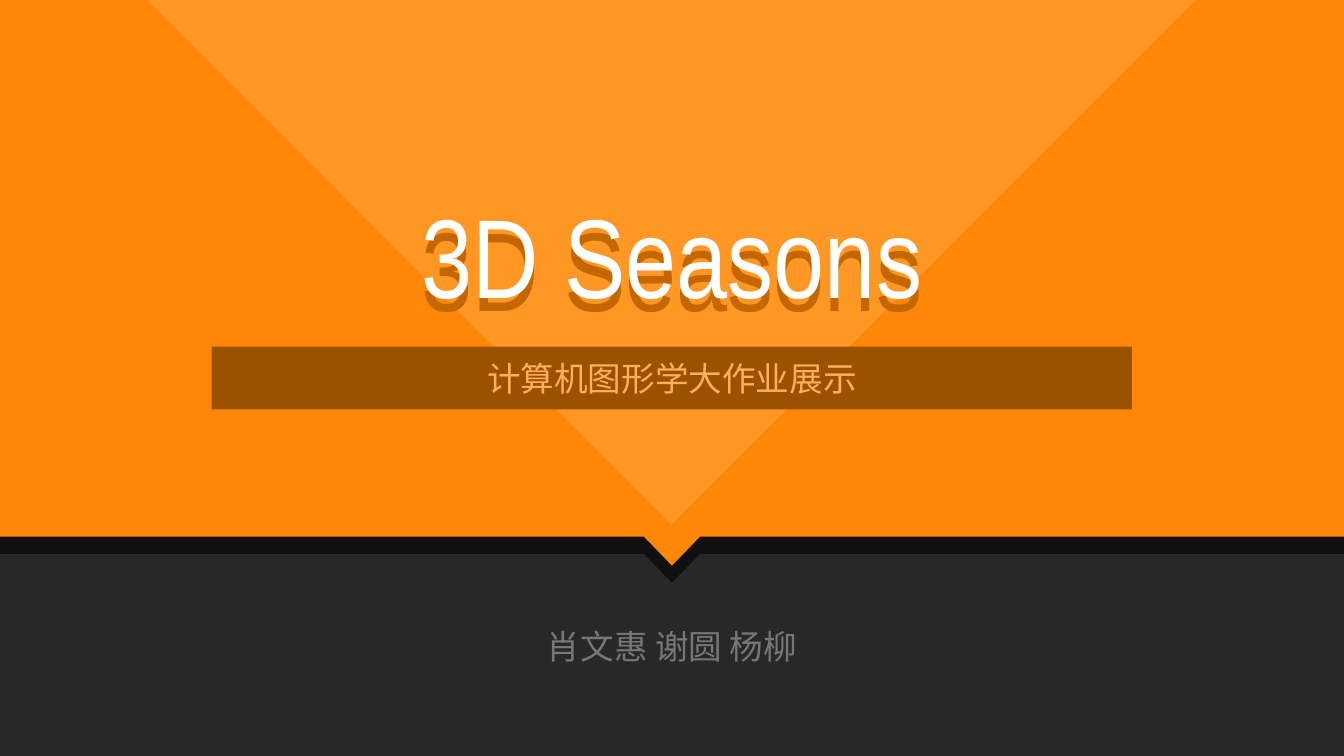
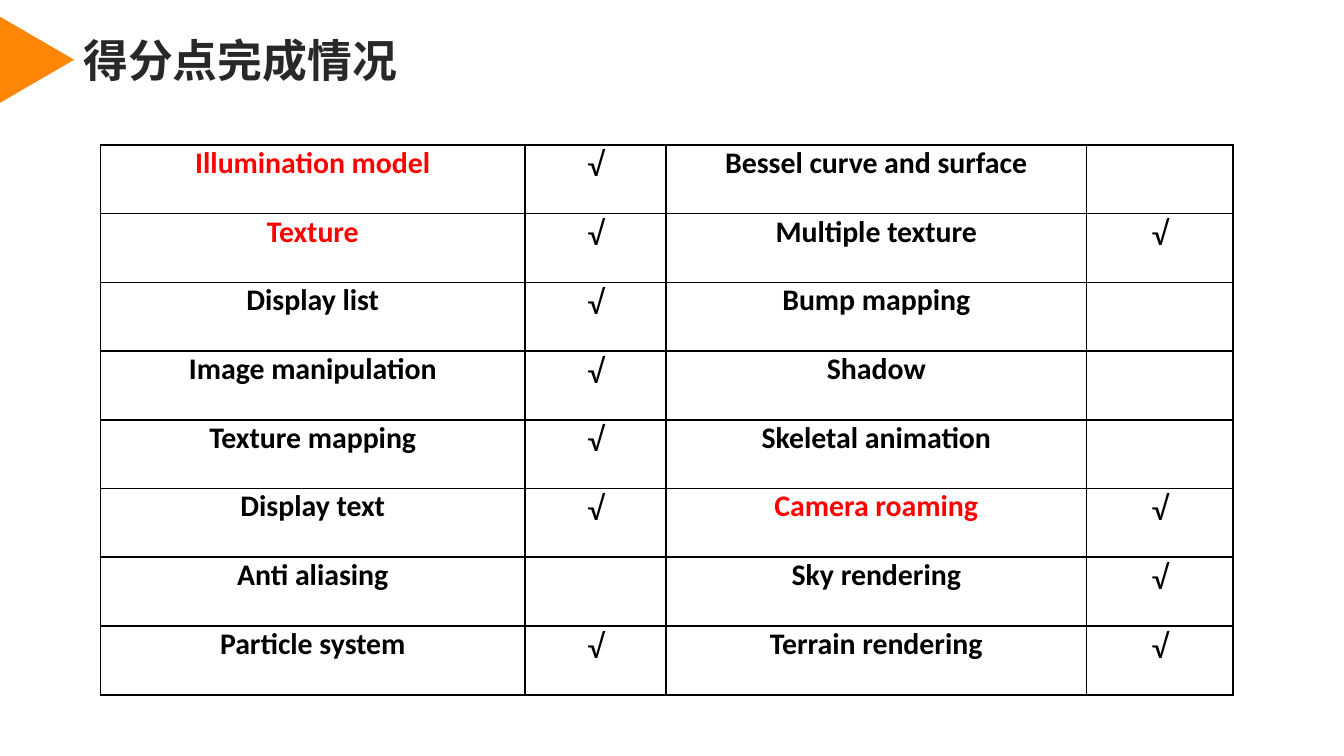
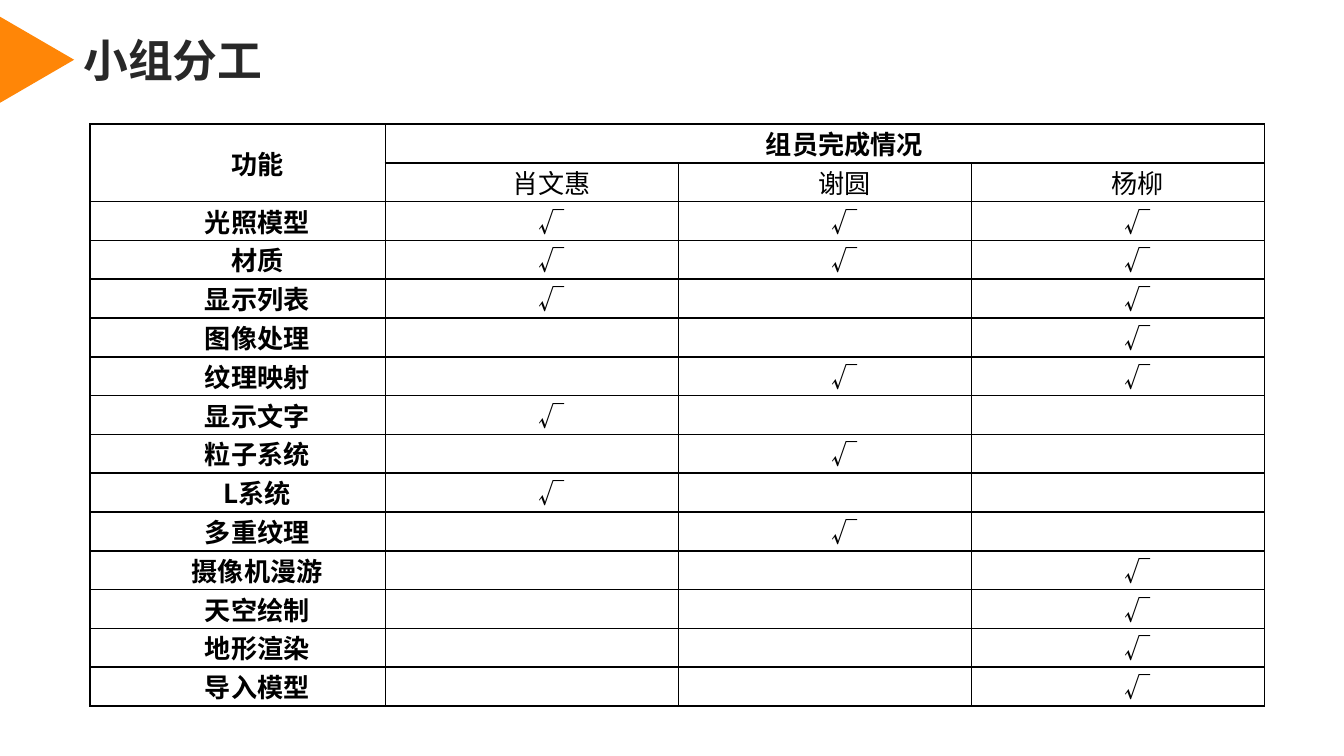
from lxml.etree import SubElement
from pptx import Presentation
from pptx.dml.color import RGBColor
from pptx.enum.shapes import MSO_SHAPE
from pptx.enum.text import MSO_ANCHOR, MSO_AUTO_SIZE, PP_ALIGN
from pptx.oxml.ns import qn
from pptx.util import Pt

ORANGE = RGBColor(0xFF, 0x86, 0x07)
LIGHT_ORANGE = RGBColor(0xFF, 0x97, 0x25)
DEEP_ORANGE = RGBColor(0xC4, 0x67, 0x00)
BROWN = RGBColor(0x9A, 0x51, 0x00)
PEACH = RGBColor(0xFF, 0xAF, 0x57)
DARK = RGBColor(0x28, 0x28, 0x28)
GRAY = RGBColor(0x77, 0x77, 0x77)
WHITE = RGBColor(0xFF, 0xFF, 0xFF)
BLACK = RGBColor(0, 0, 0)
RED = RGBColor(0xFF, 0, 0)

CJK = "Noto Sans CJK SC"
COVER = {"name": "Arial Narrow", "size": Pt(60), "bold": False}
CAPTION = {"name": CJK, "size": Pt(18), "bold": False}
HEADING = {"name": "Arial Narrow", "size": Pt(24), "bold": True}
ITEM = {"name": "Calibri", "size": Pt(16), "bold": True}
TICK = {"name": "Calibri", "size": Pt(18), "bold": False}
WORK = {"name": CJK, "size": Pt(14), "bold": True}
DONE = {"name": CJK, "size": Pt(14), "bold": False}
BOX = {"word_wrap": True, "auto_size": MSO_AUTO_SIZE.NONE, "vertical_anchor": MSO_ANCHOR.TOP,
       "margin_left": Pt(7.2), "margin_right": Pt(7.2),
       "margin_top": Pt(3.6), "margin_bottom": Pt(3.6)}


def write(tf, text, fmt, color, align=PP_ALIGN.CENTER, ea=CJK):
    p = tf.paragraphs[0]
    p.alignment = align
    p.space_before = Pt(0)
    if not text:
        SubElement(p._p, qn("a:endParaRPr"), sz=str(int(fmt["size"].pt * 100)))
        return p
    r = p.add_run()
    r.text = text
    for key, value in fmt.items():
        setattr(r.font, key, value)
    r.font.color.rgb = color
    SubElement(r._r.get_or_add_rPr(), qn("a:ea"), typeface=ea)
    return p


def paint(sp, color):
    sp.shadow.inherit = False
    sp.fill.solid()
    sp.fill.fore_color.rgb = color
    sp.line.fill.background()


prs = Presentation()
prs.slide_width, prs.slide_height = Pt(720), Pt(405)

s = prs.slides.add_slide(prs.slide_layouts[0])
paint(s.shapes.add_shape(MSO_SHAPE.RECTANGLE, 0, 0, Pt(720), Pt(405)), DARK)

banner = [(0, 0), (720, 0), (720, 287.5), (375, 287.5), (360, 303), (345, 287.5), (0, 287.5)]
wedge = [(79, 0), (640.5, 0), (359.75, 281)]
for outline, drop, color in [(banner, 9.2, BLACK), (banner, 0, ORANGE), (wedge, 0, LIGHT_ORANGE)]:
    points = [(Pt(x), Pt(y + drop)) for x, y in outline]
    fb = s.shapes.build_freeform(*points[0])
    fb.add_line_segments(points[1:], close=True)
    sp = fb.convert_to_shape()
    paint(sp, color)
    if drop:
        SubElement(sp._element.spPr.find(".//" + qn("a:srgbClr")), qn("a:alpha"), val="60000")

paint(s.shapes.add_shape(MSO_SHAPE.RECTANGLE, Pt(113.4), Pt(185.7), Pt(493), Pt(33.7)), BROWN)

title, subtitle = s.placeholders
for sp, text, fmt, color, at in [
    (s.shapes.add_textbox(0, 0, 0, 0), "3D Seasons", COVER, DEEP_ORANGE, (0, 103.6, 720, 80)),
    (title, "3D Seasons", COVER, WHITE, (0, 96.5, 720, 80)),
    (subtitle, "计算机图形学大作业展示", CAPTION, PEACH, (113.4, 188, 493, 29)),
    (s.shapes.add_textbox(0, 0, 0, 0), "肖文惠 谢圆 杨柳", CAPTION, GRAY, (0, 332, 720, 29)),
]:
    sp.left, sp.top, sp.width, sp.height = map(Pt, at)
    for key, value in BOX.items():
        setattr(sp.text_frame, key, value)
    write(sp.text_frame, text, fmt, color)
    s.shapes._spTree.append(sp._element)

scores = [
    ("Illumination model", "√", "Bessel curve and surface", ""),
    ("Texture", "√", "Multiple texture", "√"),
    ("Display list", "√", "Bump mapping", ""),
    ("Image manipulation", "√", "Shadow", ""),
    ("Texture mapping", "√", "Skeletal animation", ""),
    ("Display text", "√", "Camera roaming", "√"),
    ("Anti aliasing", "", "Sky rendering", "√"),
    ("Particle system", "√", "Terrain rendering", "√"),
]
required = {"Illumination model", "Texture", "Camera roaming"}

duties = [
    ("功能", "组员完成情况", "", ""),
    ("", "肖文惠", "谢圆", "杨柳"),
    ("光照模型", "√", "√", "√"),
    ("材质", "√", "√", "√"),
    ("显示列表", "√", "", "√"),
    ("图像处理", "", "", "√"),
    ("纹理映射", "", "√", "√"),
    ("显示文字", "√", "", ""),
    ("粒子系统", "", "√", ""),
    ("L系统", "√", "", ""),
    ("多重纹理", "", "√", ""),
    ("摄像机漫游", "", "", "√"),
    ("天空绘制", "", "", "√"),
    ("地形渲染", "", "", "√"),
    ("导入模型", "", "", "√"),
]

for heading, width, rows, left, top, cols, row_height, bold, plain, indent in [
    ("得分点完成情况", 184, scores, 53.8, 77.6, (227.6, 75.5, 225.2, 78.6), 36.85, ITEM, TICK, 0),
    ("小组分工", 112, duties, 48.2, 66.5, (158.3, 157, 157, 157), 20.8, WORK, DONE, 21),
]:
    s = prs.slides.add_slide(prs.slide_layouts[5])
    sp = s.shapes.title
    sp.left, sp.top, sp.width, sp.height = Pt(37.4), Pt(13.7), Pt(width), Pt(36)
    for key, value in BOX.items():
        setattr(sp.text_frame, key, value)
    sp.text_frame.word_wrap = False
    write(sp.text_frame, heading, HEADING, DARK, PP_ALIGN.LEFT)

    sp = s.shapes.add_shape(MSO_SHAPE.ISOSCELES_TRIANGLE, Pt(-3.1), Pt(12.2), Pt(46), Pt(39.6))
    sp.rotation = 90
    paint(sp, ORANGE)

    table = s.shapes.add_table(len(rows), len(cols), Pt(left), Pt(top),
                               Pt(sum(cols)), Pt(row_height * len(rows))).table
    table.first_row = table.horz_banding = False
    for column, col_width in zip(table.columns, cols):
        column.width = Pt(col_width)
    for i, row in enumerate(rows):
        table.rows[i].height = Pt(row_height)
        for j, text in enumerate(row):
            cell = table.cell(i, j)
            cell.margin_left = cell.margin_right = Pt(5)
            cell.margin_top = cell.margin_bottom = 0
            cell.fill.background()
            tcPr = cell._tc.get_or_add_tcPr()
            for k, side in enumerate(("lnL", "lnR", "lnT", "lnB")):
                ln = SubElement(tcPr, qn("a:" + side), w=str(Pt(1)))
                fill = SubElement(ln, qn("a:solidFill"))
                SubElement(fill, qn("a:srgbClr"), val=str(BLACK))
                tcPr.insert(k, ln)
            if rows is scores:
                strong = j % 2 == 0
            else:
                strong = i == 0 or j == 0
            fmt = bold if strong else plain
            color = RED if text in required else BLACK
            p = write(cell.text_frame, text, fmt, color, ea=fmt["name"])
            p._p.get_or_add_pPr().set("indent", str(Pt(indent)))

table.cell(0, 0).merge(table.cell(1, 0))
table.cell(0, 1).merge(table.cell(0, 3))
table.cell(0, 0).vertical_anchor = MSO_ANCHOR.MIDDLE

prs.save("out.pptx")
